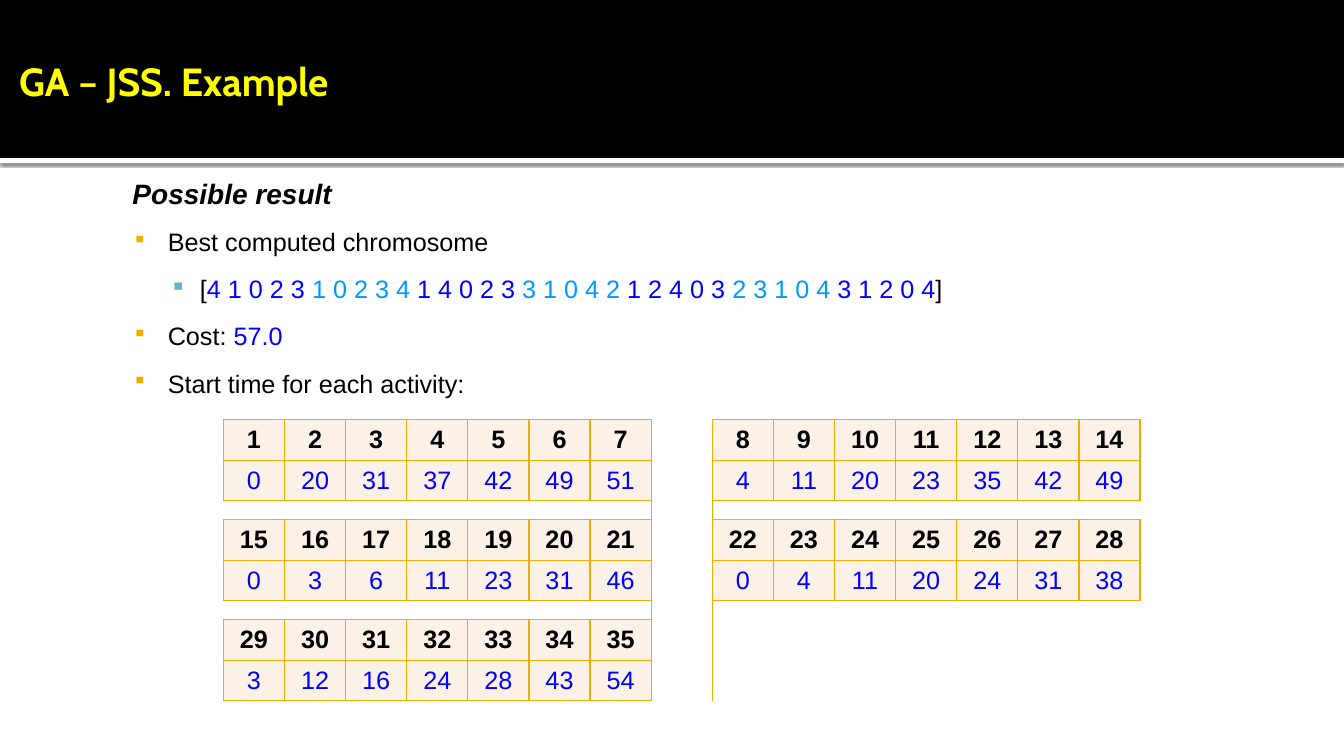
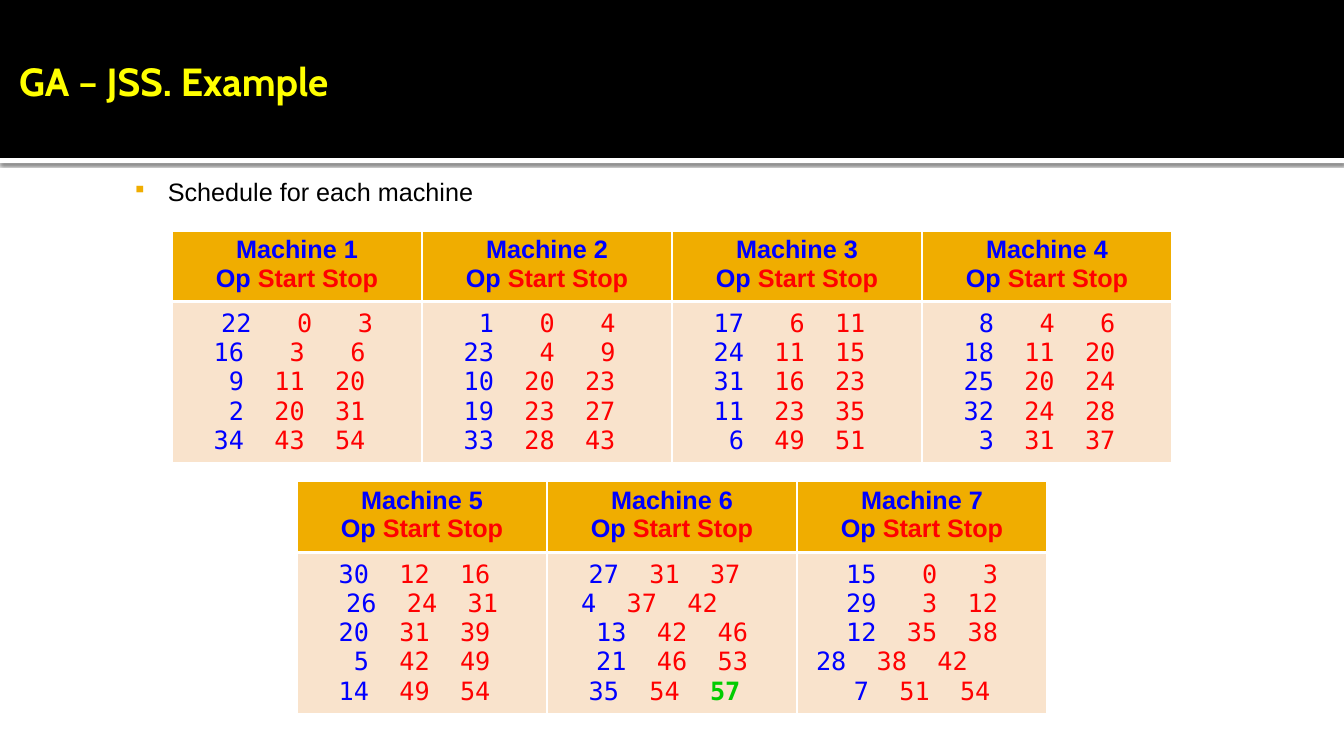
"""Build two slides on a genetic algorithm for job shop scheduling."""
from lxml import etree
from pptx import Presentation
from pptx.dml.color import RGBColor
from pptx.enum.shapes import MSO_SHAPE
from pptx.enum.text import MSO_ANCHOR, PP_ALIGN
from pptx.oxml.ns import qn
from pptx.util import Cm, Pt

RECTANGLE = MSO_SHAPE.RECTANGLE
MIDDLE, TOP = MSO_ANCHOR.MIDDLE, MSO_ANCHOR.TOP
CENTER, LEFT, JUSTIFY = PP_ALIGN.CENTER, PP_ALIGN.LEFT, PP_ALIGN.JUSTIFY

BLACK, WHITE, YELLOW = "000000", "FFFFFF", "FFFF00"
BLUE, SKY, RED, GREEN = "0000FF", "0099FF", "FF0000", "00CC00"
AMBER, TEAL, CREAM, PEACH = "F0AD00", "60B5CC", "FCF1E7", "F9E3CC"
PLAIN_TABLE = "{2D5ABB26-0587-4C30-8999-92F81FD0307C}"

SLIDE_WIDTH, SLIDE_HEIGHT = 33.87, 19.05
BAND_HEIGHT = 3.98
BODY_FONT = {"name": "Arial", "size": Pt(18), "color": BLACK}
TITLE_FONT = {"name": "Cabin", "size": Pt(28), "bold": True, "color": YELLOW}
MONO_FONT = {"name": "DejaVu Sans Mono", "size": Pt(18), "color": RED}
OP = {"color": BLUE}
LEVELS = {
    "heading": {"left": 0.33, "indent": 0, "align": LEFT},
    "point": {"left": 1.22, "indent": -0.89, "align": JUSTIFY, "bullet": (AMBER, 80)},
    "detail": {"left": 2.03, "indent": -0.76, "align": JUSTIFY, "bullet": (TEAL, 90)},
}

TITLE = "GA – JSS. Example"
RESULT_POINTS = [
    ("heading", [("Possible result", {"size": Pt(20), "bold": True, "italic": True})]),
    ("point", [("Best computed chromosome", {})]),
    ("detail", [
        ("[", {}),
        ("4 1 0 2 3 ", OP),
        ("1 0 2 3 4 ", {"color": SKY}),
        ("1 4 0 2 3 ", OP),
        ("3 1 0 4 2 ", {"color": SKY}),
        ("1 2 4 0 3 ", OP),
        ("2 3 1 0 4 ", {"color": SKY}),
        ("3 1 2 0 4", OP),
        ("]", {}),
    ]),
    ("point", [("Cost: ", {}), ("57.0", OP)]),
    ("point", [("Start time for each activity:", {})]),
]
SCHEDULE_POINTS = [("point", [("Schedule for each machine", {})])]

START_TIMES = [
    [0, 20, 31, 37, 42, 49, 51],
    [4, 11, 20, 23, 35, 42, 49],
    [0, 3, 6, 11, 23, 31, 46],
    [0, 4, 11, 20, 24, 31, 38],
    [3, 12, 16, 24, 28, 43, 54],
]
JOB_LENGTH = 7

MACHINES = [
    [(22, 0, 3), (16, 3, 6), (9, 11, 20), (2, 20, 31), (34, 43, 54)],
    [(1, 0, 4), (23, 4, 9), (10, 20, 23), (19, 23, 27), (33, 28, 43)],
    [(17, 6, 11), (24, 11, 15), (31, 16, 23), (11, 23, 35), (6, 49, 51)],
    [(8, 4, 6), (18, 11, 20), (25, 20, 24), (32, 24, 28), (3, 31, 37)],
    [(30, 12, 16), (26, 24, 31), (20, 31, 39), (5, 42, 49), (14, 49, 54)],
    [(27, 31, 37), (4, 37, 42), (13, 42, 46), (21, 46, 53), (35, 54, 57)],
    [(15, 0, 3), (29, 3, 12), (12, 35, 38), (28, 38, 42), (7, 51, 54)],
]
MAKESPAN = 57
HALF_CHAR = 0.19
NUDGES = {**dict.fromkeys((22, 26, 13, 21, 15, 29, 12), 1), 4: -3, 28: -3}
OP_STOP, STOP_STEP = 1.56, 1.53
MACHINE_WIDTH = 6.3
MACHINE_ROWS = [(5.82, 0, 4), (12.14, 4, 7)]


def rgb(color):
    return RGBColor.from_string(color)


def add_xml(parent, tag, **attributes):
    return etree.SubElement(parent, qn(tag), {k: str(v) for k, v in attributes.items()})


def add_color(parent, color):
    return add_xml(add_xml(parent, "a:solidFill"), "a:srgbClr", val=color)


def set_all(target, values):
    for name, value in values.items():
        if name == "color":
            target.color.rgb = rgb(value)
        else:
            setattr(target, name, value)


def write(paragraph, pieces, font):
    for text, changes in pieces:
        run = paragraph.add_run()
        run.text = text
        set_all(run.font, {**font, **changes})


def paragraphs(frame, count):
    return [frame.paragraphs[0]] + [frame.add_paragraph() for _ in range(count - 1)]


def add_bar(slide, top, height, color):
    bar = slide.shapes.add_shape(RECTANGLE, 0, Cm(top), Cm(SLIDE_WIDTH), Cm(height))
    bar.shadow.inherit = False
    bar.fill.solid()
    bar.fill.fore_color.rgb = rgb(color)
    bar.line.fill.background()
    return bar


def add_frame(slide, left, top, width, height, anchor):
    box = slide.shapes.add_textbox(Cm(left), Cm(top), Cm(width), Cm(height))
    set_all(box.text_frame, {
        "word_wrap": True, "vertical_anchor": anchor, "margin_left": Cm(0.15),
        "margin_top": Cm(0.25), "margin_right": Cm(0.25), "margin_bottom": Cm(0.13),
    })
    return box.text_frame


def set_level(paragraph, level):
    paragraph.alignment = level["align"]
    properties = paragraph._p.get_or_add_pPr()
    properties.set("marL", str(Cm(level["left"])))
    properties.set("indent", str(Cm(level["indent"])))
    if "bullet" in level:
        color, percent = level["bullet"]
        add_xml(add_xml(properties, "a:buClr"), "a:srgbClr", val=color)
        add_xml(properties, "a:buSzPct", val=percent * 1000)
        add_xml(properties, "a:buChar", char="▪")


def add_slide(deck, points):
    slide = deck.slides.add_slide(deck.slide_layouts[6])
    stripe = add_bar(slide, BAND_HEIGHT, 0.13, WHITE)
    shadow = add_xml(stripe._element.spPr.find(qn("a:effectLst")), "a:outerShdw",
                     blurRad=Pt(2.5), dist=Pt(0.8), dir=5400000, rotWithShape=0)
    add_xml(add_xml(shadow, "a:srgbClr", val=BLACK), "a:alpha", val=60000)
    add_bar(slide, 0, BAND_HEIGHT, BLACK)

    body = add_frame(slide, 2.86, 4.19, 31, 13.82, TOP)
    for paragraph, (level, pieces) in zip(paragraphs(body, len(points)), points):
        set_all(paragraph, {"space_before": Pt(6), "space_after": Pt(6)})
        set_level(paragraph, LEVELS[level])
        write(paragraph, pieces, BODY_FONT)

    title = add_frame(slide, 0, 0, 29.85, 3.94, MIDDLE).paragraphs[0]
    set_level(title, LEVELS["heading"])
    write(title, [(TITLE, {})], TITLE_FONT)
    return slide


def add_grid(slide, left, top, widths, heights):
    table = slide.shapes.add_table(len(heights), len(widths), Cm(left), Cm(top),
                                   Cm(sum(widths)), Cm(sum(heights))).table
    set_all(table, {"first_row": False, "horz_banding": False})
    table._tbl.tblPr.find(qn("a:tableStyleId")).text = PLAIN_TABLE
    for column, width in zip(table.columns, widths):
        column.width = Cm(width)
    for row, height in zip(table.rows, heights):
        row.height = Cm(height)
    return table


def set_borders(cell, color, **points):
    for side, width in points.items():
        line = add_xml(cell._tc.get_or_add_tcPr(), f"a:ln{side}", w=Pt(width))
        add_color(line, color)


def paint(cell, fill, border, **points):
    set_borders(cell, border, **points)
    cell.fill.solid()
    cell.fill.fore_color.rgb = rgb(fill)


def add_start_times(slide):
    heights = [1.02, 1.02, 0.48, 1.02, 1.02, 0.48, 1.02, 1.02]
    table = add_grid(slide, 5.63, 10.58, [1.54] * (2 * JOB_LENGTH + 1), heights)
    filled = set()
    for job, starts in enumerate(START_TIMES):
        top, left = job // 2 * 3, job % 2 * (JOB_LENGTH + 1)
        for step, start in enumerate(starts):
            activity = job * JOB_LENGTH + step + 1
            for row, value, changes in ((top, activity, {"bold": True}), (top + 1, start, OP)):
                cell = table.cell(row, left + step)
                filled.add((row, left + step))
                cell.vertical_anchor = MIDDLE
                paragraph = cell.text_frame.paragraphs[0]
                paragraph.alignment = CENTER
                write(paragraph, [(str(value), changes)], BODY_FONT)
                paint(cell, CREAM, AMBER, L=1, R=1, T=1, B=1)
    for row in range(len(heights)):
        for column in range(len(table.columns)):
            if (row, column) not in filled:
                gap = table.cell(row, column)
                set_all(gap, {"margin_top": 0, "margin_bottom": 0})
                add_xml(gap.text_frame.paragraphs[0]._p, "a:endParaRPr", sz=600)
    set_borders(table.cell(0, JOB_LENGTH), AMBER, L=1)
    right, last = JOB_LENGTH + 1, 2 * JOB_LENGTH
    for first, final in (((0, JOB_LENGTH), (7, JOB_LENGTH)), ((2, 0), (2, JOB_LENGTH - 1)),
                         ((2, right), (2, last)), ((5, 0), (5, JOB_LENGTH - 1)),
                         ((5, right), (7, last))):
        table.cell(*first).merge(table.cell(*final))


def fill_heading(cell, number):
    name, columns = paragraphs(cell.text_frame, 2)
    font = {**BODY_FONT, "bold": True, "color": BLUE}
    name.alignment = columns.alignment = CENTER
    write(name, [(f"Machine {number}", {})], font)
    write(columns, [("Op ", {}), ("Start Stop", {"color": RED})], font)
    paint(cell, AMBER, WHITE, L=1, R=1, T=1, B=3)


def fill_schedule(cell, operations):
    cell.vertical_anchor = MIDDLE
    lines = paragraphs(cell.text_frame, len(operations))
    for paragraph, (op, start, stop) in zip(lines, operations):
        paragraph.alignment = LEFT
        tabs = add_xml(paragraph._p.get_or_add_pPr(), "a:tabLst")
        for index in range(3):
            position = OP_STOP + index * STOP_STEP + NUDGES.get(op, 0) * HALF_CHAR
            add_xml(tabs, "a:tab", pos=Cm(position), algn="r")
        finish = {"color": GREEN, "bold": True} if stop == MAKESPAN else {}
        write(paragraph, [(f"\t{op}", OP), (f"\t{start}", {}), (f"\t{stop}", finish)], MONO_FONT)
    paint(cell, PEACH, WHITE, L=1, R=1, B=1)


def add_schedules(slide):
    for top, first, end in MACHINE_ROWS:
        count = end - first
        left = (SLIDE_WIDTH - count * MACHINE_WIDTH) / 2
        table = add_grid(slide, left, top, [MACHINE_WIDTH] * count, [1.68, 3.94])
        for column, operations in enumerate(MACHINES[first:end]):
            fill_heading(table.cell(0, column), first + column + 1)
            fill_schedule(table.cell(1, column), operations)


def main():
    deck = Presentation()
    set_all(deck, {"slide_width": Cm(SLIDE_WIDTH), "slide_height": Cm(SLIDE_HEIGHT)})
    add_start_times(add_slide(deck, RESULT_POINTS))
    add_schedules(add_slide(deck, SCHEDULE_POINTS))
    deck.save("out.pptx")


if __name__ == "__main__":
    main()
